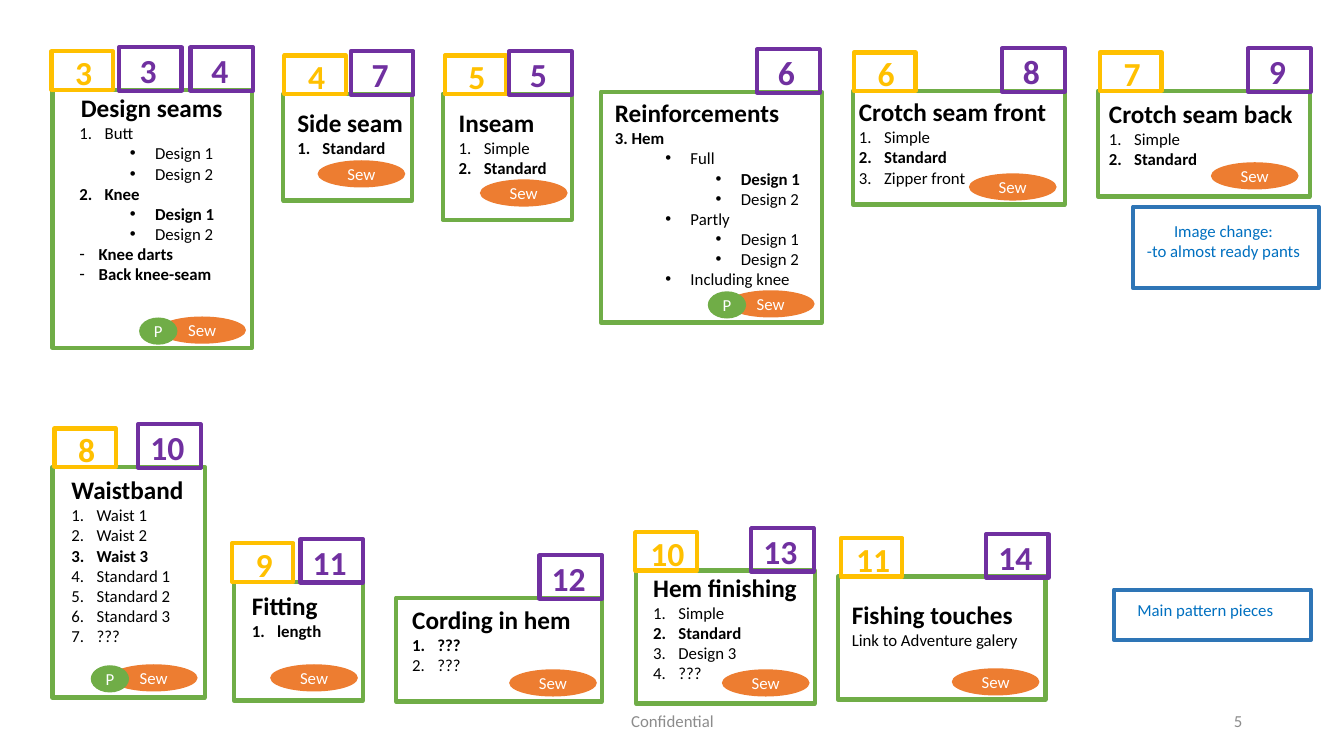
from dataclasses import dataclass

from lxml import etree
from pptx import Presentation
from pptx import util as u
from pptx.dml import color
from pptx.enum import shapes, text
from pptx.oxml import ns

PX = 9144
GREEN, ORANGE, YELLOW, PURPLE = "70AD47", "ED7D31", "FFC000", "7030A0"
NOTE_LINE, NOTE_TEXT, GRAY, BLACK, WHITE = "2E75B6", "0070C0", "8C8C8C", "000000", "FFFFFF"
LEFT, CENTER, RIGHT = text.PP_ALIGN.LEFT, text.PP_ALIGN.CENTER, text.PP_ALIGN.RIGHT
PLAIN, NUMBER, DASH, DOT, SUBDOT = "plain", "number", "dash", "dot", "subdot"
LISTS = {
    NUMBER: (0, 25, 25, "buAutoNum", {"type": "arabicPeriod"}),
    DASH: (0, 19, 19, "buChar", {"char": "-"}),
    DOT: (1, 75, 25, "buChar", {"char": "•"}),
    SUBDOT: (2, 125, 25, "buChar", {"char": "•"}),
}
TAGS = {YELLOW: (-38, 61, 38, 2, -4), PURPLE: (-42, 62, 43, -1, -2)}


@dataclass
class Card:
    """A step: box, text box offset and size, title, lines, tags and badge offset."""
    box: tuple
    body: tuple
    title: str
    lines: list
    tags: list
    sew: tuple = None
    printed: bool = False
    centered: bool = False


CARDS = [
    Card((52, 89, 198, 256), (17, -2, 163, 202), "Design seams",
         [(NUMBER, "Butt", False), (DOT, "Design 1", False), (DOT, "Design 2", False),
          (NUMBER, "Knee", True), (DOT, "Design 1", True), (DOT, "Design 2", False),
          (DASH, "Knee darts", True), (DASH, "Back knee-seam", True)],
         [("3", YELLOW, -1), ("3", PURPLE, 66), ("4", PURPLE, 137)],
         (105, 225), printed=True, centered=True),
    Card((281, 93, 128, 106), (4, 9, 128, 80), "Side seam",
         [(NUMBER, "Standard", True)], [("4", YELLOW, 1), ("7", PURPLE, 67)], (34, 66)),
    Card((439, 93, 128, 125), (6, 9, 113, 97), "Inseam",
         [(NUMBER, "Simple", False), (NUMBER, "Standard", True)],
         [("5", YELLOW, 2), ("5", PURPLE, 66)], (37, 85)),
    Card((596, 91, 219, 229), (4, 1, 219, 232), "Reinforcements",
         [(PLAIN, "3. Hem", True), (DOT, "Full", False), (SUBDOT, "Design 1", True),
          (SUBDOT, "Design 2", False), (DOT, "Partly", False), (SUBDOT, "Design 1", False),
          (SUBDOT, "Design 2", False), (DOT, "Including knee", False)],
         [("6", PURPLE, 155)], (125, 197), printed=True),
    Card((846, 90, 210, 113), (-4, 1, 219, 101), "Crotch seam front",
         [(NUMBER, "Simple", False), (NUMBER, "Standard", True), (NUMBER, "Zipper front", False)],
         [("6", YELLOW, 1), ("8", PURPLE, 148)], (115, 82)),
    Card((1089, 90, 210, 105), (1, 3, 219, 81), "Crotch seam back",
         [(NUMBER, "Simple", False), (NUMBER, "Standard", True)],
         [("7", YELLOW, 2), ("9", PURPLE, 149)], (112, 71)),
    Card((52, 463, 151, 229), (9, 3, 142, 182), "Waistband",
         [(NUMBER, "Waist 1", False), (NUMBER, "Waist 2", False), (NUMBER, "Waist 3", True),
          (NUMBER, "Standard 1", False), (NUMBER, "Standard 2", False),
          (NUMBER, "Standard 3", False), (NUMBER, "???", False)],
         [("8", YELLOW, 2), ("10", PURPLE, 85)], (57, 196), printed=True),
    Card((232, 577, 128, 118), (8, 4, 128, 61), "Fitting",
         [(NUMBER, "length", True)], [("9", YELLOW, -2), ("11", PURPLE, 66)], (36, 82)),
    Card((393, 593, 204, 103), (6, 2, 182, 81), "Cording in hem",
         [(NUMBER, "???", True), (NUMBER, "???", False)], [("12", PURPLE, 142)], (112, 71)),
    Card((631, 566, 177, 132), (7, -3, 170, 121), "Hem finishing",
         [(NUMBER, "Simple", False), (NUMBER, "Standard", True), (NUMBER, "Design 3", False),
          (NUMBER, "???", False)],
         [("10", YELLOW, -1), ("13", PURPLE, 114)], (85, 98)),
    Card((831, 572, 206, 122), (4, 18, 206, 122), "Fishing touches",
         [(PLAIN, "Link to Adventure galery", False)],
         [("11", YELLOW, 3), ("14", PURPLE, 147)], (113, 91)),
]
NOTES = [
    ((1124, 205, 184, 81), (0, 9, 179, 50), ["Image change:", "-to almost ready pants"]),
    ((1105, 585, 195, 50), (-4, 5, 189, 30), ["Main pattern pieces"]),
]


def rgb(value):
    """Turn a hex string into a colour."""
    return color.RGBColor.from_string(value)


def emu(box):
    """Scale px lengths to EMU."""
    return [u.Emu(length * PX) for length in box]


def set_all(target, values):
    """Set each attribute of a dict on the target."""
    for name, value in values.items():
        setattr(target, name, value)


def add_para(frame, words, size, ink, bold=False, align=LEFT, mark=PLAIN):
    """Write one paragraph, with its list mark if it has one."""
    first = frame.paragraphs[0]
    para = frame.add_paragraph() if first.runs else first
    para.alignment = align
    span = para.add_run()
    span.text = words
    set_all(span.font, {"name": "Calibri", "size": u.Pt(size), "bold": bold})
    span.font.color.rgb = rgb(ink)
    if mark in LISTS:
        level, margin, hang, tag, values = LISTS[mark]
        para.level = level
        props = para._p.get_or_add_pPr()
        props.set("marL", str(margin * PX))
        props.set("indent", str(-hang * PX))
        if tag == "buChar":
            etree.SubElement(props, ns.qn("a:buFont"), typeface="Arial")
        etree.SubElement(props, ns.qn("a:" + tag), values)


def add_text_box(canvas, box, wrap=True, grow=True):
    """Add an empty text box and return its frame."""
    frame = canvas.shapes.add_textbox(*emu(box)).text_frame
    frame.word_wrap = wrap
    if grow:
        frame.auto_size = text.MSO_AUTO_SIZE.SHAPE_TO_FIT_TEXT
    return frame


def add_outline(canvas, box, ink):
    """Draw an unfilled rectangle with a thick line."""
    outline = canvas.shapes.add_shape(shapes.MSO_SHAPE.FLOWCHART_PROCESS, *emu(box))
    outline.shadow.inherit = False
    outline.fill.background()
    outline.line.color.rgb = rgb(ink)
    outline.line.width = u.Pt(3)


def add_tag(page, left, card_top, number, ink):
    """Draw a numbered tag standing on the top edge of a card."""
    rise, width, height, shift_x, shift_y = TAGS[ink]
    top = card_top + rise
    group = page.shapes.add_group_shape()
    add_outline(group, (left, top, width, height), ink)
    frame = add_text_box(group, (left + shift_x, top + shift_y, 60, 50))
    add_para(frame, number, 24, ink, True, CENTER)


def add_badge(page, box, label, fill):
    """Draw a filled oval with a short label."""
    badge = page.shapes.add_shape(shapes.MSO_SHAPE.OVAL, *emu(box))
    badge.shadow.inherit = False
    badge.fill.solid()
    badge.fill.fore_color.rgb = rgb(fill)
    badge.line.fill.background()
    set_all(badge.text_frame, {"margin_left": 0, "margin_right": 0, "margin_top": 0,
                               "margin_bottom": 0, "vertical_anchor": text.MSO_ANCHOR.MIDDLE})
    add_para(badge.text_frame, label, 12, WHITE, align=CENTER)


def add_card(page, card):
    """Draw a card with its list, tags and badges."""
    left, top = card.box[:2]
    shift_x, shift_y, width, height = card.body
    group = page.shapes.add_group_shape()
    add_outline(group, card.box, GREEN)
    frame = add_text_box(group, (left + shift_x, top + shift_y, width, height), not card.centered)
    add_para(frame, card.title, 18, BLACK, True, CENTER if card.centered else LEFT)
    for mark, words, bold in card.lines:
        add_para(frame, words, 12, BLACK, bold, mark=mark)
    for number, ink, offset in card.tags:
        add_tag(page, left + offset, top, number, ink)
    sew_left, sew_top = left + card.sew[0], top + card.sew[1]
    add_badge(page, (sew_left, sew_top, 87, 27), "Sew", ORANGE)
    if card.printed:
        add_badge(page, (sew_left - 19, sew_top + 1, 38, 27), "P", GREEN)


def add_note(page, box, body, lines):
    """Draw a blue note box."""
    group = page.shapes.add_group_shape()
    add_outline(group, box, NOTE_LINE)
    frame = add_text_box(group, (box[0] + body[0], box[1] + body[1], *body[2:]))
    for words in lines:
        add_para(frame, words, 12, NOTE_TEXT, align=CENTER)


def add_footer(page, top):
    """Write the footer and the page number."""
    for left, width, words, align in [(442, 450, "Confidential", CENTER), (942, 300, "5", RIGHT)]:
        frame = add_text_box(page, (left, top, width, 40), grow=False)
        frame.vertical_anchor = text.MSO_ANCHOR.MIDDLE
        add_para(frame, words, 12, GRAY, align=align)


def main():
    """Build and save the deck."""
    deck = Presentation()
    deck.slide_width, deck.slide_height = emu((1333, 750))
    page = deck.slides.add_slide(deck.slide_layouts[6])
    for card in CARDS:
        add_card(page, card)
    for note in NOTES:
        add_note(page, *note)
    add_footer(page, 695)
    deck.save("out.pptx")


if __name__ == "__main__":
    main()
